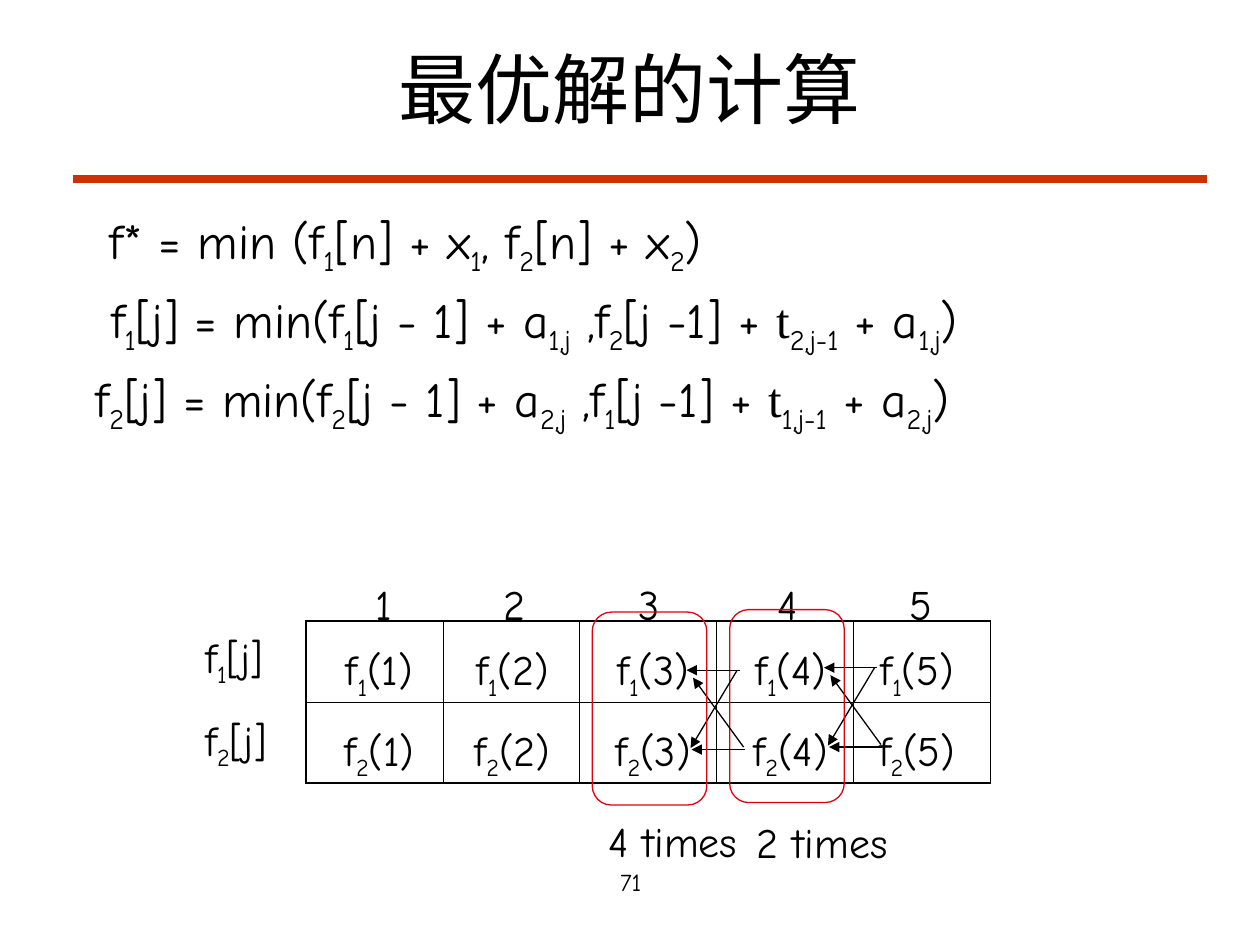
from dataclasses import dataclass

from lxml.etree import SubElement
from pptx import Presentation
from pptx.dml.color import RGBColor
from pptx.enum.shapes import MSO_CONNECTOR, MSO_SHAPE
from pptx.enum.text import MSO_ANCHOR, PP_ALIGN
from pptx.oxml.ns import qn
from pptx.util import Cm, Pt


@dataclass(frozen=True)
class Theme:
    ink: str = "000000"
    rule: str = "CC3300"
    highlight: str = "DD0111"
    hand: str = "Comic Neue"
    serif: str = "Times New Roman"
    title: int = 44
    formula: int = 28
    label: int = 24
    number: int = 14


THEME = Theme()

TITLE = "最优解的计算"
PAGE_NUMBER = "71"
FORMULAS = [
    (1.27, "f* = min (f|1|[n] + x|1|, f|2|[n] + x|2|)"),
    (1.3, "f|1|[j] = min(f|1|[j - 1] + a|1,j| ,f|2|[j -1] + ~t|2,j-1| + a|1,j|)"),
    (0.99, "f|2|[j] = min(f|2|[j - 1] + a|2,j| ,f|1|[j -1] + ~t|1,j-1| + a|2,j|)"),
]
COLUMNS = [
    ("1", 7.74, 7.65),
    ("2", 10.38, 10.33),
    ("3", 13.09, 13.17),
    ("4", 15.87, 15.94),
    ("5", 18.56, 18.49),
]
ROWS = [("1", 12.6, 12.85), ("2", 14.27, 14.48)]
STEPS = [
    ("2 times", (15.01, 16.33), (14.71, 12.29), (17.68, 13.46)),
    ("4 times", (12.01, 16.31), (11.94, 12.34), (14.91, 13.51)),
]
STEP_ARROWS = [
    ((0, 0), (-1.07, 0)),
    ((-0.05, 0), (-0.99, 1.57)),
    ((0.08, 1.55), (-0.94, 0.15)),
    ((0.1, 1.6), (-0.97, 1.6)),
]
TABLE_ORIGIN = (6.17, 12.52)
CELL_SIZE = (2.76, 1.63)
HEADER_SIZE = (2, 1.42)
NUMBER_SIZE = (1.2, 1.27)
VALUE_SIZE = (2.4, 1.42)
CAPTION_SIZE = (3.5, 1.27)
OUTER_BORDER, INNER_BORDER = 1.08, 0.45


def add_run(paragraph, text, size, font, subscript=False):
    run = paragraph.add_run()
    run.text = text
    run.font.size = Pt(size)
    run.font.name = font
    run.font.color.rgb = RGBColor.from_string(THEME.ink)
    if subscript:
        run.font._element.set("baseline", "-25000")


def add_marked_text(paragraph, marked, size, font):
    for index, part in enumerate(marked.split("|")):
        plain, _, serif = part.partition("~")
        if plain:
            add_run(paragraph, plain, size, font, index % 2 == 1)
        if serif:
            add_run(paragraph, serif, size, THEME.serif)


def add_box(slide, position, size, wrap=True, anchor=MSO_ANCHOR.TOP):
    box = slide.shapes.add_textbox(*map(Cm, position + size))
    box.text_frame.word_wrap = wrap
    box.text_frame.vertical_anchor = anchor
    return box.text_frame


def add_label(slide, marked, position, size, align=PP_ALIGN.LEFT,
              points=THEME.label, font=THEME.hand, wrap=False,
              anchor=MSO_ANCHOR.TOP):
    paragraph = add_box(slide, position, size, wrap, anchor).paragraphs[0]
    paragraph.alignment = align
    add_marked_text(paragraph, marked, points, font)


def add_centered_label(slide, marked, center, top, size):
    add_label(slide, marked, (center - size[0] / 2, top), size, PP_ALIGN.CENTER)


def add_line(shapes, start, end, color, width, arrow=False):
    connector = shapes.add_connector(MSO_CONNECTOR.STRAIGHT, *map(Cm, start + end))
    connector.line.color.rgb = RGBColor.from_string(color)
    connector.line.width = Pt(width)
    if arrow:
        SubElement(connector.line._get_or_add_ln(), qn("a:tailEnd"), type="triangle")
    SubElement(connector._element.spPr, qn("a:effectLst"))


def add_formulas(slide):
    frame = add_box(slide, (0.69, 4.11), (24.03, 14.9))
    for index, (indent, formula) in enumerate(FORMULAS):
        paragraph = frame.add_paragraph() if index else frame.paragraphs[0]
        paragraph._p.get_or_add_pPr().set("marL", str(Cm(indent)))
        if index:
            paragraph.space_before = Pt(7)
        add_marked_text(paragraph, formula, THEME.formula, THEME.hand)


def style_cell(cell, outer_sides):
    properties = cell._tc.get_or_add_tcPr()
    for side in "LRTB":
        width = OUTER_BORDER if side in outer_sides else INNER_BORDER
        border = SubElement(properties, qn("a:ln" + side), w=str(Pt(width)))
        fill = SubElement(border, qn("a:solidFill"))
        SubElement(fill, qn("a:srgbClr"), val=THEME.ink)
    cell.fill.background()


def add_grid(slide):
    width, height = CELL_SIZE
    row_count, column_count = len(ROWS), len(COLUMNS)
    size = (width * column_count, height * row_count)
    table = slide.shapes.add_table(
        row_count, column_count, *map(Cm, TABLE_ORIGIN + size)).table
    table.first_row = table.horz_banding = False
    for column in table.columns:
        column.width = Cm(width)
    for row in table.rows:
        row.height = Cm(height)
    for row in range(row_count):
        for column in range(column_count):
            edges = {"L": column == 0, "R": column == column_count - 1,
                     "T": row == 0, "B": row == row_count - 1}
            style_cell(table.cell(row, column),
                       [side for side, outer in edges.items() if outer])


def add_grid_labels(slide):
    for line, top, _ in ROWS:
        add_label(slide, f"f|{line}|[j]", (3.89, top), HEADER_SIZE)
    for station, number_center, value_center in COLUMNS:
        add_centered_label(slide, station, number_center, 11.53, NUMBER_SIZE)
        for line, _, top in ROWS:
            add_centered_label(slide, f"f|{line}|({station})", value_center, top,
                               VALUE_SIZE)


def add_step(slide, caption, caption_position, frame_position, origin):
    group = slide.shapes.add_group_shape()
    for points in STEP_ARROWS:
        start, end = [(origin[0] + x, origin[1] + y) for x, y in points]
        add_line(group.shapes, start, end, THEME.ink, 0.75, arrow=True)
    frame = slide.shapes.add_shape(
        MSO_SHAPE.ROUNDED_RECTANGLE, *map(Cm, frame_position + (2.31, 3.89)))
    frame.shadow.inherit = False
    frame.fill.background()
    frame.line.color.rgb = RGBColor.from_string(THEME.highlight)
    frame.line.width = Pt(0.75)
    add_label(slide, caption, caption_position, CAPTION_SIZE)


def main():
    presentation = Presentation()
    presentation.slide_width, presentation.slide_height = Cm(25.4), Cm(19.05)
    slide = presentation.slides.add_slide(presentation.slide_layouts[6])
    add_line(slide.shapes, (1.47, 3.61), (24.33, 3.61), THEME.rule, 4.5)
    add_label(slide, PAGE_NUMBER, (8.69, 17.35), (8.05, 1.27), PP_ALIGN.CENTER,
              THEME.number, wrap=True)
    add_label(slide, TITLE, (1.9, 0.18), (21.59, 3.18), PP_ALIGN.CENTER,
              THEME.title, THEME.serif, True, MSO_ANCHOR.MIDDLE)
    add_formulas(slide)
    add_grid(slide)
    add_grid_labels(slide)
    for step in STEPS:
        add_step(slide, *step)
    presentation.save("out.pptx")


if __name__ == "__main__":
    main()
